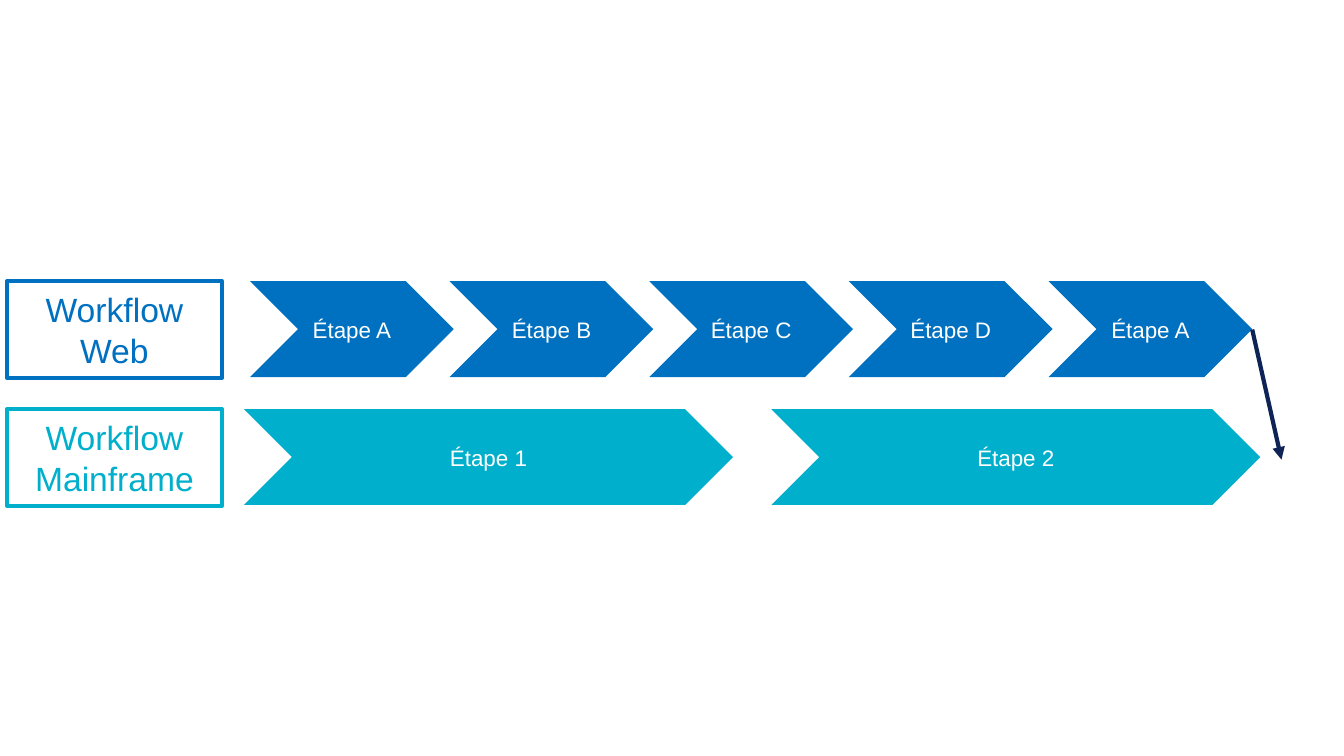
from lxml import etree
from pptx import Presentation
from pptx.dml import color
from pptx.enum import shapes, text
from pptx.oxml import ns
from pptx.util import Inches, Pt

BLUE, TEAL, NAVY, WHITE = "0070C0", "00AFCB", "0E2356", "FFFFFF"
LABEL_FONT = {"size": Pt(24), "name": "Arial"}
STEP_FONT = {"size": Pt(16), "name": "Arial"}


def rgb(value):
    return color.RGBColor.from_string(value)


def add_box(slide, preset, box, words, font_format, font_color):
    shape = slide.shapes.add_shape(preset, *map(Inches, box))
    shape.shadow.inherit = False
    frame = shape.text_frame
    frame.word_wrap = True
    frame.vertical_anchor = text.MSO_ANCHOR.MIDDLE
    paragraph = frame.paragraphs[0]
    paragraph.alignment = text.PP_ALIGN.CENTER
    run = paragraph.add_run()
    run.text = words
    for name, value in font_format.items():
        setattr(run.font, name, value)
    run.font.color.rgb = rgb(font_color)
    return shape


def add_label(slide, box, words, hue):
    label = add_box(slide, shapes.MSO_SHAPE.RECTANGLE, box, words, LABEL_FONT, hue)
    label.fill.background()
    label.line.color.rgb = rgb(hue)
    label.line.width = Pt(3)


def add_steps(slide, box, names, pitch, hue):
    left, top, width, height = box
    for index, name in enumerate(names):
        step_box = (left + index * pitch, top, width, height)
        step = add_box(slide, shapes.MSO_SHAPE.CHEVRON, step_box, name, STEP_FONT, WHITE)
        step.fill.solid()
        step.fill.fore_color.rgb = rgb(hue)
        step.line.fill.background()


def add_workflow(slide, top, title, hue, names, first_left, step_width, pitch):
    add_label(slide, (0.07, top, 2.13, 0.96), title, hue)
    add_steps(slide, (first_left, top, step_width, 0.95), names, pitch, hue)


def add_arrow(slide, start, end):
    arrow = slide.shapes.add_connector(
        shapes.MSO_CONNECTOR.STRAIGHT, *map(Inches, start + end))
    arrow.line.color.rgb = rgb(NAVY)
    arrow.line.width = Pt(3)
    etree.SubElement(arrow.line._get_or_add_ln(), ns.qn("a:tailEnd"), type="triangle")
    etree.SubElement(arrow._element.spPr, ns.qn("a:effectLst"))


def main():
    presentation = Presentation()
    presentation.slide_width = Inches(13.33)
    presentation.slide_height = Inches(7.5)
    slide = presentation.slides.add_slide(presentation.slide_layouts[6])
    add_workflow(slide, 4.06, "Workflow Mainframe", TEAL,
                 ["Étape 1", "Étape 2"], 2.42, 4.85, 5.23)
    add_workflow(slide, 2.79, "Workflow Web", BLUE,
                 ["Étape A", "Étape B", "Étape C", "Étape D", "Étape A"],
                 2.48, 2.02, 1.98)
    add_arrow(slide, (12.42, 3.27), (12.71, 4.56))
    presentation.save("out.pptx")


if __name__ == "__main__":
    main()
